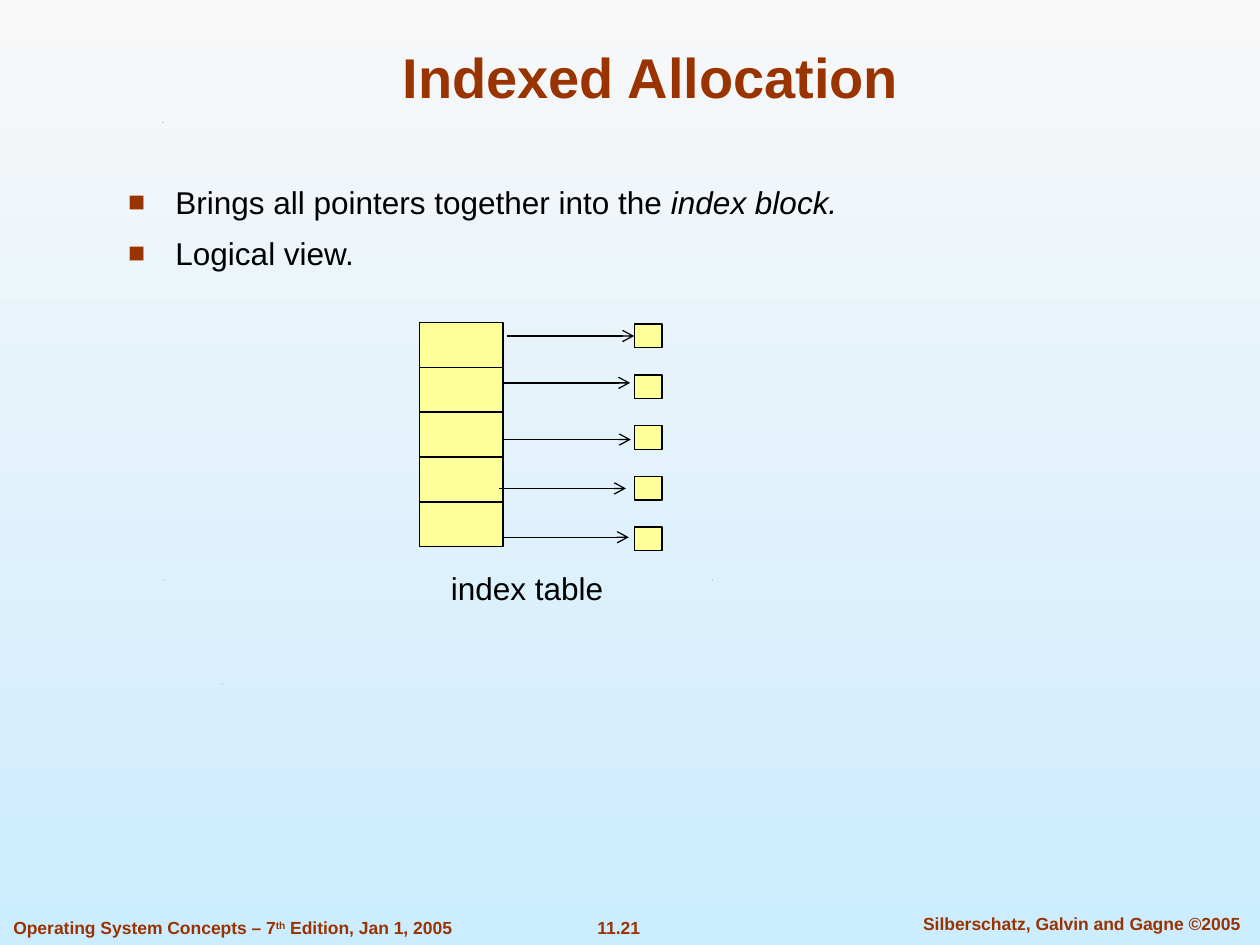
from lxml import etree
from pptx import Presentation
from pptx.dml.color import RGBColor
from pptx.enum.shapes import MSO_CONNECTOR, MSO_SHAPE
from pptx.enum.text import MSO_ANCHOR, MSO_AUTO_SIZE, PP_ALIGN
from pptx.oxml.ns import qn
from pptx.util import Pt

RECT = MSO_SHAPE.RECTANGLE
LINE = MSO_CONNECTOR.STRAIGHT
LEFT, MID = PP_ALIGN.LEFT, PP_ALIGN.CENTER
TOP, CENTER, BOTTOM = MSO_ANCHOR.TOP, MSO_ANCHOR.MIDDLE, MSO_ANCHOR.BOTTOM
GROW, FIXED = MSO_AUTO_SIZE.SHAPE_TO_FIT_TEXT, MSO_AUTO_SIZE.NONE

BROWN, BLACK, YELLOW = "993300", "000000", "FFFF99"
FOOT = {"size": Pt(10), "bold": True}
HEAD = {"size": Pt(32), "bold": True}
BODY = {"size": Pt(18)}


def color(code):
    return RGBColor.from_string(code)


def apply(item, form):
    for name, value in form.items():
        setattr(item, name, value)


def add_tag(node, tag, **attrs):
    return etree.SubElement(node, qn(tag), attrs)


def paint_back(slide):
    fill = slide.background.fill
    fill.gradient()
    fill.gradient_angle = 270
    for stop, place, code in zip(fill.gradient_stops, (0, 1), ("F8F8F8", "CCECFF")):
        stop.position = place
        stop.color.rgb = color(code)


def add_bullet(para):
    props = para._p.get_or_add_pPr()
    props.set("marL", str(Pt(27)))
    props.set("indent", str(Pt(-27)))
    tint = add_tag(props, "a:buClr")
    add_tag(tint, "a:srgbClr", val=BROWN)
    add_tag(props, "a:buSzPct", val="90000")
    add_tag(props, "a:buFont", typeface="Arial")
    add_tag(props, "a:buChar", char="■")


def add_text(slide, area, paras, font, code, align=LEFT, anchor=TOP,
             wrap=False, fit=GROW, bullet=False):
    box = slide.shapes.add_textbox(*map(Pt, area))
    frame = box.text_frame
    apply(frame, {"word_wrap": wrap, "auto_size": fit, "vertical_anchor": anchor})
    for num, runs in enumerate(paras):
        para = frame.add_paragraph() if num else frame.paragraphs[0]
        para.alignment = align
        if num:
            para.space_before = Pt(7.9)
        if bullet:
            add_bullet(para)
        for words, style in runs:
            run = para.add_run()
            run.text = words
            apply(run.font, {"name": "Arial", **font})
            run.font.color.rgb = color(code)
            if style == "italic":
                run.font.italic = True
            if style == "super":
                run._r.get_or_add_rPr().set("baseline", "30000")


def add_box(slide, *area):
    box = slide.shapes.add_shape(RECT, *map(Pt, area))
    box.shadow.inherit = False
    box.fill.solid()
    box.fill.fore_color.rgb = color(YELLOW)
    box.line.color.rgb = color(BLACK)
    box.line.width = Pt(0.75)
    return box


def add_arrow(slide, left, right, top):
    arrow = slide.shapes.add_connector(LINE, Pt(left), Pt(top), Pt(right), Pt(top))
    arrow.line.color.rgb = color(BLACK)
    arrow.line.width = Pt(0.75)
    add_tag(arrow.line._get_or_add_ln(), "a:tailEnd", type="arrow")
    add_tag(arrow._element.spPr, "a:effectLst")
    return arrow


def add_speck(slide, left, top):
    pen = slide.shapes.build_freeform(Pt(left), Pt(top + 0.5))
    pen.add_line_segments([(Pt(left + 0.5), Pt(top)), (Pt(left + 0.25), Pt(top + 0.5))])
    speck = pen.convert_to_shape()
    speck.shadow.inherit = False
    speck.fill.solid()
    speck.fill.fore_color.rgb = color(BLACK)
    speck.line.fill.background()


def add_footer(slide):
    add_text(slide, (315.4, 520.6, 76.3, 19.4), [[("11.21", "")]], FOOT, BROWN, MID)
    add_text(slide, (511.2, 518.4, 213.8, 19.4),
             [[("Silberschatz, Galvin and Gagne ©2005", "")]], FOOT, BROWN, MID, wrap=True)
    add_text(slide, (0.5, 520.6, 265, 19.4),
             [[("Operating System Concepts – 7", ""), ("th", "super"),
               (" Edition, Jan 1, 2005", "")]], FOOT, BROWN)


def add_index(slide):
    for row in range(5):
        add_box(slide, 239.6, 184.2 + 25.65 * row, 47.8, 25.65)
    blocks = [add_box(slide, 362.4, 185.25 + 29 * row, 16, 13.5) for row in range(5)]
    spots = [(289.7, 192), (287.4, 218.8), (287.8, 251.2), (285, 279.1), (286.6, 307)]
    arrows = [add_arrow(slide, left, left + 72.7, top) for left, top in spots]
    arrows[0].end_connect(blocks[0], 1)
    add_text(slide, (250.4, 321.4, 101.5, 28.8), [[("index table", "")]],
             BODY, BLACK, MID, CENTER)


def main():
    deck = Presentation()
    apply(deck, {"slide_width": Pt(720), "slide_height": Pt(540)})
    slide = deck.slides.add_slide(deck.slide_layouts[6])
    paint_back(slide)
    for spot in ((126.7, 390.6), (93.6, 331.2), (406.8, 331.2), (92.9, 69.8)):
        add_speck(slide, *spot)
    add_footer(slide)
    add_text(slide, (54, 18, 635.8, 48.2), [[("Indexed Allocation", "")]],
             HEAD, BROWN, MID, BOTTOM, wrap=True, fit=FIXED)
    add_text(slide, (66.2, 100.8, 578.9, 73.4),
             [[("Brings all pointers together into the ", ""), ("index block.", "italic")],
              [("Logical view.", "")]],
             BODY, BLACK, wrap=True, fit=FIXED, bullet=True)
    add_index(slide)
    deck.save("out.pptx")


if __name__ == "__main__":
    main()
